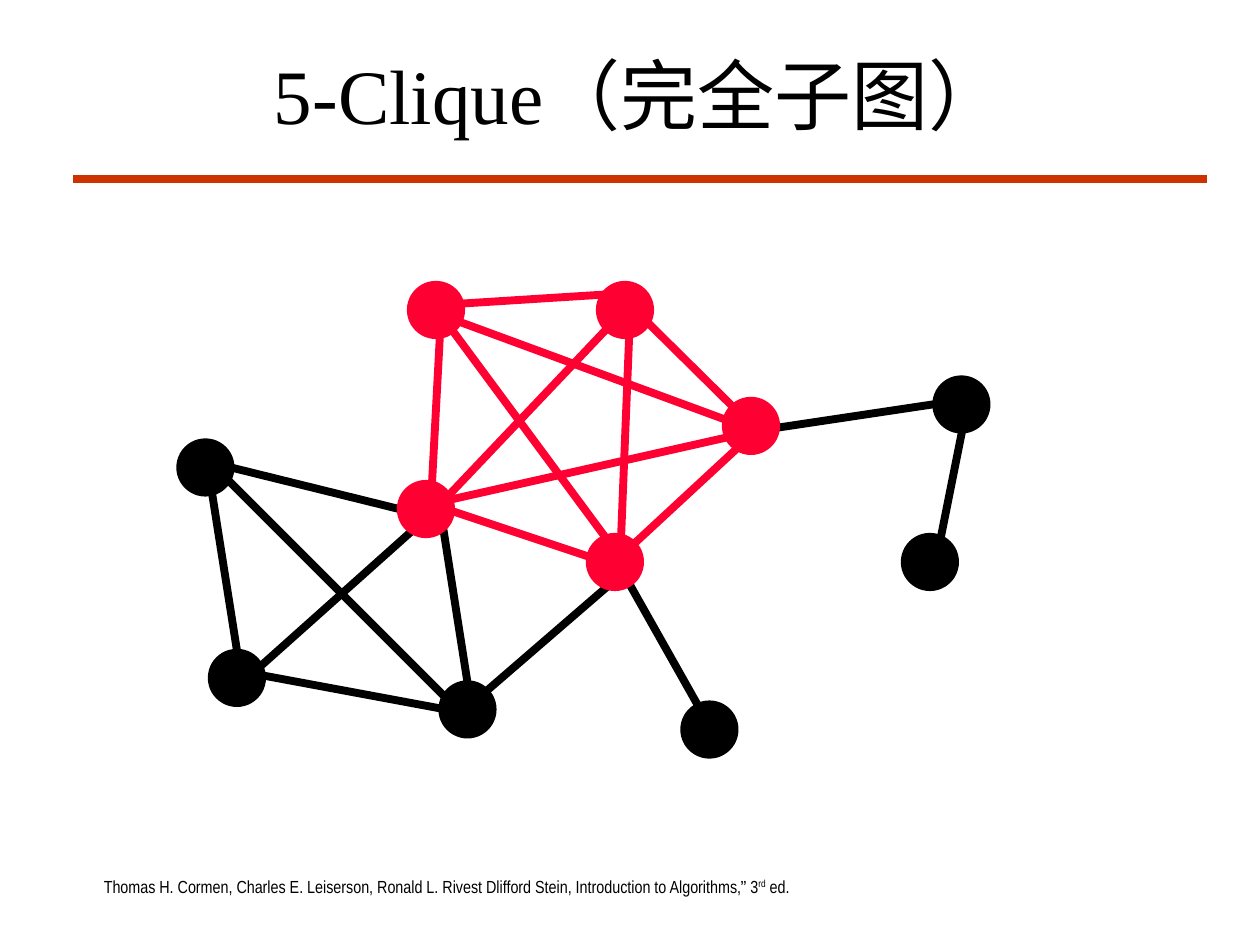
from lxml.etree import SubElement
from pptx import Presentation
from pptx.dml.color import RGBColor
from pptx.enum.shapes import MSO_CONNECTOR, MSO_SHAPE
from pptx.enum.text import MSO_ANCHOR, PP_ALIGN
from pptx.oxml.ns import qn
from pptx.util import Inches, Pt

BLACK, RED, RUST = "000000", "FF0033", "CC3300"
NODE_SIZE = 0.42


def color(value):
    return RGBColor.from_string(value)


def add_line(page, start, end, line_color):
    line = page.shapes.add_connector(
        MSO_CONNECTOR.STRAIGHT, *[Inches(value) for value in start + end])
    line.line.color.rgb = color(line_color)
    line.line.width = Pt(4.5)
    SubElement(line._element.spPr, qn("a:effectLst"))


deck = Presentation()
deck.slide_width, deck.slide_height = Inches(10), Inches(7.5)
page = deck.slides.add_slide(deck.slide_layouts[5])

title = page.shapes.title
title.left, title.top = Inches(0.83), Inches(0.12)
title.width, title.height = Inches(8.5), Inches(1.25)
title.text_frame.text = "5-Clique（完全子图）"
title.text_frame.vertical_anchor = MSO_ANCHOR.MIDDLE
paragraph = title.text_frame.paragraphs[0]
paragraph.alignment = PP_ALIGN.CENTER
span = paragraph.runs[0]
span.font.name = "Times New Roman"
span.font.size = Pt(44)
span.font.color.rgb = color(BLACK)

add_line(page, (0.58, 1.42), (9.58, 1.42), RUST)

citation = page.shapes.add_textbox(Inches(0.67), Inches(6.9), Inches(5.75), Inches(0.33))
citation.text_frame.word_wrap = True
paragraph = citation.text_frame.paragraphs[0]
paragraph.alignment = PP_ALIGN.CENTER
for text, font_name in [
    ("Thomas H. Cormen, Charles E. Leiserson, Ronald L. Rivest Dlifford Stein, "
     "Introduction to Algorithms,", "Arial Narrow"),
    ("”", "Arial"),
    (" 3", "Arial Narrow"),
    ("rd", "Arial Narrow"),
    (" ed.", "Arial Narrow"),
]:
    span = paragraph.add_run()
    span.text = text
    span.font.name = font_name
    span.font.size = Pt(10)
    span.font.color.rgb = color(BLACK)
    if text == "rd":
        span.font._element.set("baseline", "30000")

edges = {
    BLACK: [
        ((1.67, 3.83), (1.92, 5.41)),
        ((1.92, 5.42), (3.42, 4.08)),
        ((3.5, 4.08), (3.75, 5.67)),
        ((5, 4.5), (3.75, 5.58)),
        ((4.92, 4.5), (5.67, 5.83)),
        ((7.67, 3.25), (7.42, 4.5)),
        ((7.67, 3.17), (6, 3.42)),
        ((1.67, 3.67), (3.67, 5.67)),
        ((3.33, 4.08), (1.67, 3.67)),
        ((1.92, 5.33), (3.75, 5.67)),
    ],
    RED: [
        ((3.5, 2.5), (3.42, 4)),
        ((4.92, 4.5), (3.42, 4)),
        ((5, 2.5), (4.92, 4.5)),
        ((5.08, 2.5), (5.92, 3.33)),
        ((4.92, 2.33), (3.5, 2.42)),
        ((4.92, 2.5), (3.42, 4.08)),
        ((3.5, 2.5), (4.92, 4.42)),
        ((6, 3.42), (4.92, 4.42)),
        ((6, 3.42), (3.5, 2.5)),
        ((3.42, 4), (6, 3.42)),
    ],
}
for edge_color, segments in edges.items():
    for start, end in segments:
        add_line(page, start, end, edge_color)

nodes = {
    BLACK: [(1.42, 3.5), (5.42, 5.58), (7.17, 4.25), (7.42, 3), (1.67, 5.17), (3.5, 5.42)],
    RED: [(3.25, 2.25), (4.75, 2.25), (4.67, 4.25), (5.75, 3.17), (3.17, 3.83)],
}
for node_color, corners in nodes.items():
    for left, top in corners:
        node = page.shapes.add_shape(
            MSO_SHAPE.OVAL, Inches(left), Inches(top), Inches(NODE_SIZE), Inches(NODE_SIZE))
        node.shadow.inherit = False
        node.fill.solid()
        node.fill.fore_color.rgb = color(node_color)
        node.line.color.rgb = color(node_color)
        node.line.width = Pt(3)

deck.save("out.pptx")
